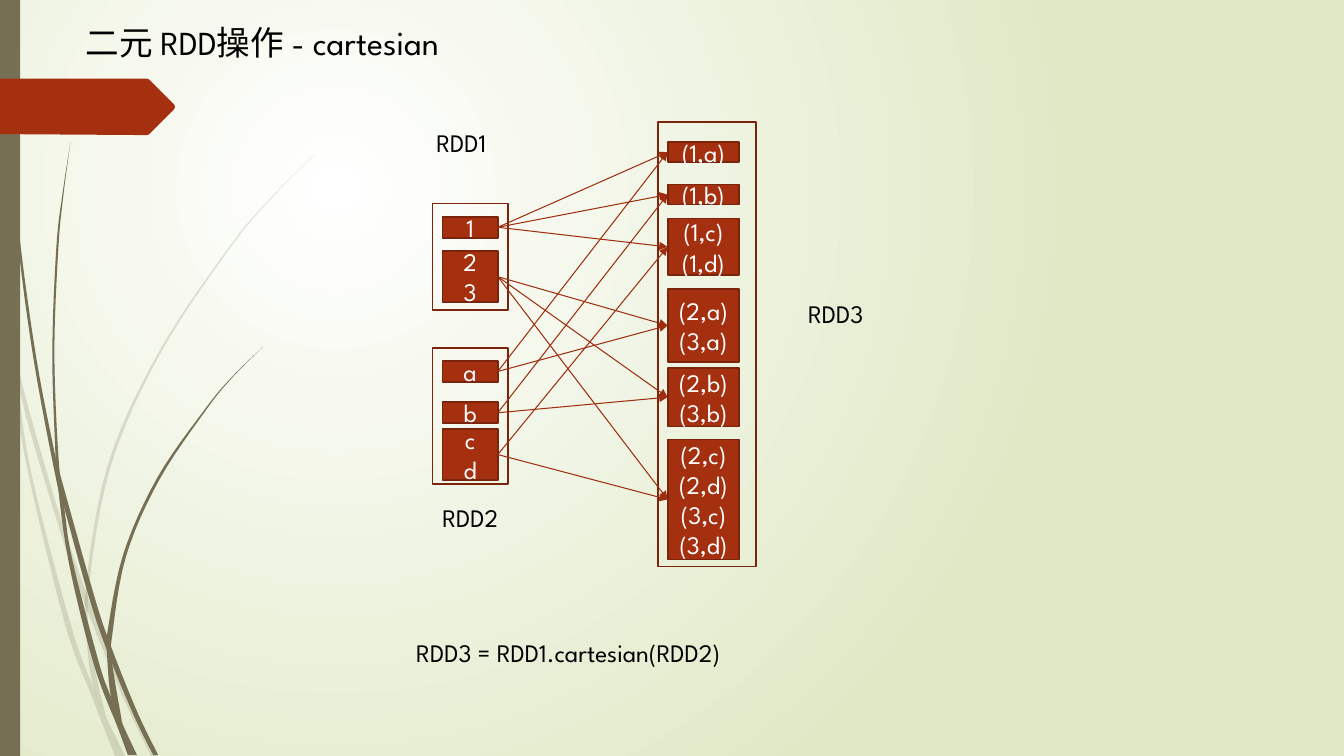
from itertools import product

from lxml import etree
from pptx import Presentation
from pptx.dml.color import RGBColor
from pptx.enum import shapes, text
from pptx.oxml import ns
from pptx.util import Pt

FONT = "League Spartan"
COLORS = {
    "center": "FFFFFF", "edge": "DFE8C4", "stalk": "766F54", "box": "A53010",
    "outline": "7A240C", "arrow": "9E2E0F", "label": "000000", "value": "FFFFFF",
}

# Each stalk is a left and a right edge, listed from the tip down, in points.
PALE_STALKS = [
    ([(0, 215.3), (7.9, 252), (12.2, 270.7), (20.9, 306), (41.8, 375.8),
      (60.5, 431.3), (88.6, 499.7), (108, 540)],
     [(0, 203), (6.5, 231.8), (10.1, 248.4), (20.2, 290.9), (44.6, 374.4),
      (61.2, 421.9), (74.2, 457.9), (91.4, 498.2), (111.6, 540)]),
    ([(7.9, 252), (10.8, 280.8), (20.2, 338.4), (46.8, 447.1), (66.2, 499), (82.1, 540)],
     [(7.9, 252), (12.2, 270.7), (22.3, 337.7), (50.4, 445.7), (67, 491.8),
      (75.6, 511.9), (89.3, 540)]),
    ([(224.6, 110.2), (193, 141.8), (164.2, 175.7), (113.8, 250.6), (77, 331.9),
      (61.2, 420.5), (62.6, 465.1), (67, 491.8), (75.6, 511.9)],
     [(224.6, 110.2), (193, 142.6), (164.9, 176.4), (115.2, 251.3), (79.2, 332.6),
      (63.4, 420.5), (65.5, 465.1), (75.6, 511.9)]),
]
DARK_STALKS = [
    ([(2.2, 0), (2.9, 34.6), (5, 79.2), (12.2, 167.8), (23.8, 255.6), (40.3, 343.4),
      (46.1, 363.6), (63.4, 426.2), (76.3, 464.4), (95, 509.8), (109.4, 539.3)],
     [(2.9, 0), (3.6, 34.6), (5.8, 78.5), (13.7, 167), (25.9, 255.6), (39.6, 326.2),
      (43.2, 339.8), (67, 424.8), (79.2, 461.5), (97.9, 508.3), (113, 539.3)]),
    ([(50.4, 101.5), (44.6, 139), (40.3, 176.4), (37.4, 251.3), (39.6, 323.3),
      (41, 343.4), (49, 401), (67, 474.5), (84.2, 519.8), (91.4, 539.3)],
     [(50.4, 101.5), (45.4, 139), (41.8, 176.4), (38.9, 251.3), (41.8, 326.2),
      (46.1, 363.6), (51.8, 400.3), (70.6, 473), (79.2, 497.5), (87.8, 517.7),
      (97.9, 539.3)]),
    ([(187.9, 247.7), (166.3, 268.6), (146.9, 291.6), (112.3, 341.3), (87.8, 396.7),
      (76.3, 454.3), (76.3, 464.4), (79.2, 497.5), (87.8, 517.7)],
     [(187.9, 247.7), (166.3, 269.3), (147.6, 292.3), (113.8, 342.7), (90, 397.4),
      (79.9, 455.8), (79.9, 472.3), (87.1, 515.5)]),
]
TAG = [(0, 56.2), (105.1, 56.2), (106.6, 56.9), (124.6, 74.9), (125, 76.3),
       (124.6, 77.8), (106.6, 95.8), (105.1, 96.5), (0, 95.8)]

# Partitions: values, top, height
RDD1 = [("1", 154.8, 15.1), ("23", 179.3, 36.7)]
RDD2 = [("a", 257.8, 15.1), ("b", 287.3, 15.1), ("cd", 306.7, 36)]
RDD3_SPANS = [(101.5, 14.4), (131.8, 14.4), (156.2, 40.3),
              (206.6, 51.8), (262.8, 41.8), (313.9, 85.7)]
FRAMES = [(308.9, 145.4, 54, 76.3), (308.9, 248.4, 54, 97.2), (470.2, 87.1, 69.8, 317.5)]
LABELS = [("RDD1", 304.6, 87.1, 62.6), ("RDD2", 308.9, 355, 62.6),
          ("RDD3", 570.2, 209.5, 62.6),
          ("RDD3 = RDD1.cartesian(RDD2)", 290.2, 451.4, 280)]


def color(name):
    return RGBColor.from_string(COLORS[name])


def smooth(points, steps=6):
    """Return points along a Catmull-Rom curve through the given points."""
    padded = [points[0], *points, points[-1]]
    curve = []
    for a, b, c, d in zip(padded, padded[1:], padded[2:], padded[3:]):
        for t in (step / steps for step in range(steps)):
            curve.append(tuple(
                (2 * q + (r - p) * t + (2 * p - 5 * q + 4 * r - s) * t ** 2
                 + (3 * q - p - 3 * r + s) * t ** 3) / 2
                for p, q, r, s in zip(a, b, c, d)))
    return curve + [points[-1]]


def set_background(slide):
    fill = slide.background.fill
    fill.gradient()
    for stop, name in zip(fill.gradient_stops, ("center", "edge")):
        stop.color.rgb = color(name)
    gradient = slide.background._cSld.find(".//" + ns.qn("a:gradFill"))
    gradient.remove(gradient.find(ns.qn("a:lin")))
    circle = etree.SubElement(gradient, ns.qn("a:path"), path="circle")
    etree.SubElement(circle, ns.qn("a:fillToRect"),
                     l="50000", t="50000", r="100000", b="100000")


def paint(shape, fill=None, line=None):
    shape.shadow.inherit = False
    if fill:
        shape.fill.solid()
        shape.fill.fore_color.rgb = color(fill)
    else:
        shape.fill.background()
    if line:
        shape.line.color.rgb = color(line)
        shape.line.width = Pt(1.25)
    else:
        shape.line.fill.background()


def add_outline(slide, points, fill):
    first, *rest = [(Pt(x), Pt(y)) for x, y in points]
    builder = slide.shapes.build_freeform(*first)
    builder.add_line_segments(rest)
    shape = builder.convert_to_shape()
    paint(shape, fill)
    return shape


def add_stalk(slide, left, right, alpha=None):
    shape = add_outline(slide, smooth(left) + smooth(right)[::-1], "stalk")
    if alpha:
        value = shape._element.spPr.find(".//" + ns.qn("a:srgbClr"))
        etree.SubElement(value, ns.qn("a:alpha"), val=str(alpha * 1000))


def add_box(slide, left, top, width, height, fill=None, line=None):
    shape = slide.shapes.add_shape(shapes.MSO_SHAPE.RECTANGLE,
                                   Pt(left), Pt(top), Pt(width), Pt(height))
    paint(shape, fill, line)
    return shape


def write(frame, lines, size, name, alignment):
    frame.text = "\n".join(lines)
    frame.word_wrap = True
    for paragraph in frame.paragraphs:
        paragraph.alignment = alignment
        paragraph.font.size = Pt(size)
        paragraph.font.name = FONT
        paragraph.font.color.rgb = color(name)


def add_partition(slide, lines, left, top, width, height):
    shape = add_box(slide, left, top, width, height, "box", "outline")
    shape.text_frame.vertical_anchor = text.MSO_ANCHOR.MIDDLE
    write(shape.text_frame, lines, 18, "value", text.PP_ALIGN.CENTER)
    return shape


def add_label(slide, words, left, top, width):
    box = slide.shapes.add_textbox(Pt(left), Pt(top), Pt(width), Pt(28.8))
    write(box.text_frame, [words], 18, "label", text.PP_ALIGN.LEFT)


def add_arrow(slide, source, target):
    arrow = slide.shapes.add_connector(shapes.MSO_CONNECTOR.STRAIGHT, 0, 0, 0, 0)
    arrow.begin_connect(source, 3)
    arrow.end_connect(target, 1)
    arrow.line.color.rgb = color("arrow")
    arrow.line.width = Pt(0.75)
    etree.SubElement(arrow.line._get_or_add_ln(), ns.qn("a:tailEnd"), type="triangle")
    etree.SubElement(arrow._element.spPr, ns.qn("a:effectLst"))


def set_title(slide, words):
    title = slide.shapes.title
    title.left, title.top, title.width, title.height = Pt(54), Pt(12.2), Pt(339), Pt(36)
    write(title.text_frame, [words], 24, "label", text.PP_ALIGN.LEFT)
    title.text_frame.vertical_anchor = text.MSO_ANCHOR.TOP
    title.text_frame.auto_size = text.MSO_AUTO_SIZE.NONE


def main():
    presentation = Presentation()
    presentation.slide_width, presentation.slide_height = Pt(960), Pt(540)
    slide = presentation.slides.add_slide(presentation.slide_layouts[5])
    set_background(slide)

    for left, right in PALE_STALKS:
        add_stalk(slide, left, right, alpha=20)
    for left, right in DARK_STALKS:
        add_stalk(slide, left, right)
    add_box(slide, 0, 0, 14.4, 540, "stalk")
    add_outline(slide, TAG, "box")
    set_title(slide, "二元 RDD操作 - cartesian")

    for frame in FRAMES:
        add_box(slide, *frame, line="outline")
    sources = {values: add_partition(slide, values, 316, top, 39.6, height)
               for values, top, height in RDD1 + RDD2}
    for label in LABELS:
        add_label(slide, *label)

    pairs = product([part[0] for part in RDD1], [part[0] for part in RDD2])
    targets = []
    for (first, second), (top, height) in zip(pairs, RDD3_SPANS):
        lines = [f"({x},{y})" for x, y in product(first, second)]
        target = add_partition(slide, lines, 476.9, top, 51.1, height)
        targets.append((first, second, target))
    for first, second, target in targets:
        add_arrow(slide, sources[first], target)
        add_arrow(slide, sources[second], target)

    presentation.save("out.pptx")


if __name__ == "__main__":
    main()
